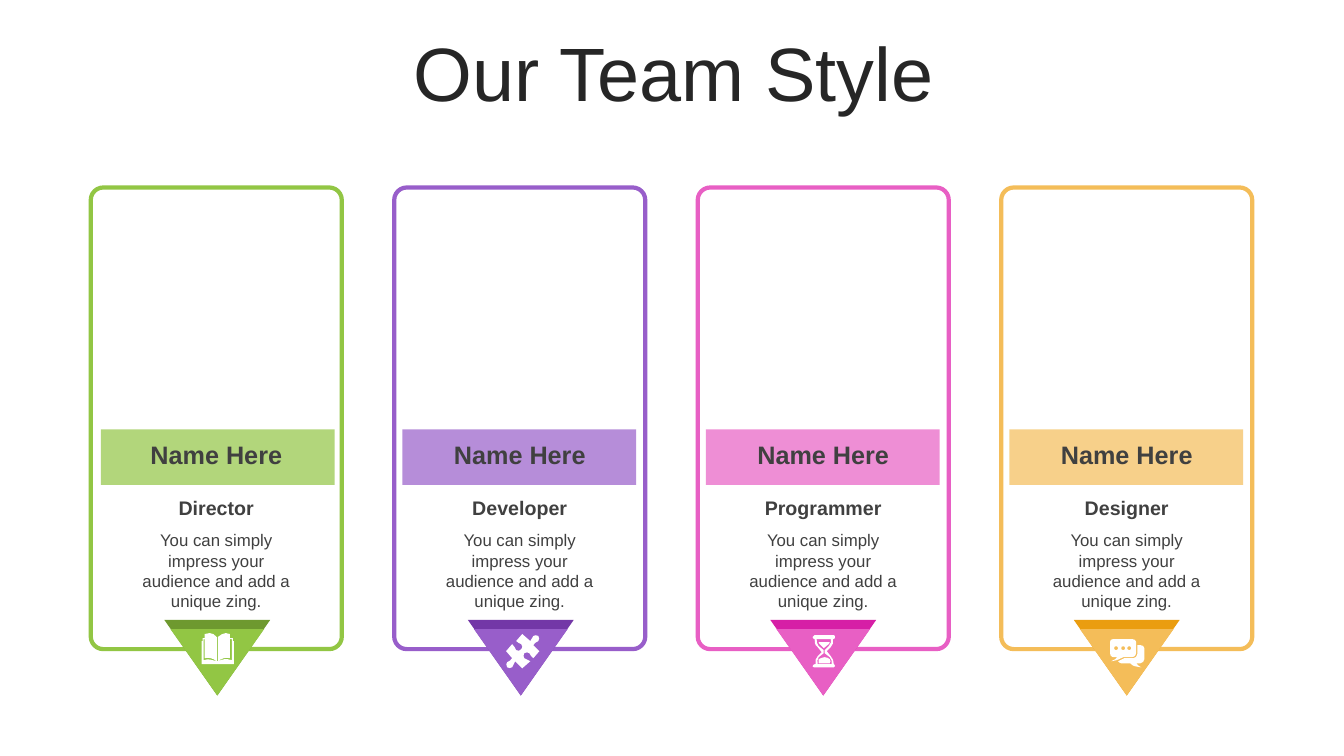
"""Build the "Our Team Style" slide with four team member cards."""
from dataclasses import dataclass

from lxml import etree
from pptx import Presentation
from pptx.dml.color import RGBColor
from pptx.enum.shapes import MSO_SHAPE
from pptx.enum.text import MSO_ANCHOR, PP_ALIGN
from pptx.oxml.ns import qn
from pptx.util import Emu, Pt

PX = 9144
FONT = "Arial"
DARK, GREY, WHITE = "262626", "404040", "FFFFFF"
RECT = MSO_SHAPE.RECTANGLE
ROUNDED = MSO_SHAPE.ROUNDED_RECTANGLE
TRIANGLE = MSO_SHAPE.ISOSCELES_TRIANGLE
MIDDLE, TOP = MSO_ANCHOR.MIDDLE, MSO_ANCHOR.TOP
CENTER = PP_ALIGN.CENTER

CARD_LEFT, CARD_PITCH = 90, 301
BLURB = "You can simply impress your audience and add a unique zing."

BOOK = (
    "M 15 28 C 15 28 16 28 16 28 L 16 28 C 21 26 24 25 30 27 L 30 6 L 28 6 "
    "C 28 12 28 19 28 25 C 24 24 20 25 16 28 L 16 6 L 16 5 L 16 4 "
    "C 19 2 21 0 24 0 C 25 0 26 1 28 1 C 28 2 28 4 28 5 "
    "L 31 5 L 31 8 L 32 8 L 32 31 L 0 31 L 0 8 L 1 8 L 1 5 L 3 5 C 3 4 3 2 3 1 "
    "C 5 1 7 0 8 0 C 11 0 13 2 15 4 L 15 5 L 15 6 L 15 28 "
    "C 11 25 7 24 3 25 L 3 6 L 2 6 L 2 27 C 7 25 10 27 15 28"
)
PUZZLE = (
    "M 33 3 C 34 4 34 7 33 8 C 31 10 29 9 28 12 L 34 18 L 28 25 "
    "C 25 23 26 22 24 20 C 23 19 21 19 19 20 C 18 21 18 24 19 25 "
    "C 22 27 22 26 25 28 L 17 35 L 10 28 C 8 31 9 31 7 34 C 6 35 3 35 2 34 "
    "C 1 32 1 30 2 29 C 4 27 6 28 7 25 L 1 18 L 7 11 C 10 13 9 15 11 17 "
    "C 13 18 15 18 16 16 C 17 15 18 13 16 11 C 14 9 13 11 11 8 L 17 1 "
    "L 25 8 C 27 6 26 6 28 3 C 29 2 32 2 33 3"
)
HOURGLASS = (
    "M 16 24 C 18 24 20 25 21 26 C 22 27 22 29 21 30 L 10 30 "
    "C 10 29 10 27 10 26 C 12 25 14 24 16 24 "
    "M 10 9 L 21 9 C 21 10 20 11 20 11 L 15 15 L 11 11 C 11 11 10 10 10 9 "
    "M 8 6 C 8 8 8 11 10 13 L 15 17 L 15 20 L 10 24 C 9 26 8 28 9 31 L 23 31 "
    "C 23 28 23 26 21 24 L 16 20 L 16 17 L 20 13 C 22 11 23 8 22 6 "
    "M 6 2 L 25 2 C 26 2 26 3 26 4 C 26 5 26 6 25 6 L 24 6 "
    "C 25 9 24 12 22 14 L 18 18 L 22 23 C 24 25 25 28 25 31 "
    "C 26 31 26 32 26 33 C 26 34 26 34 25 34 L 6 34 C 5 34 4 34 4 33 "
    "C 4 32 5 31 6 31 L 7 31 C 6 28 7 25 9 23 L 13 19 L 9 14 "
    "C 6 12 6 9 6 6 C 5 6 4 5 4 4 C 4 3 5 2 6 2"
)
DOTS = " ".join(
    f"M {x} 13 C {x - 1} 13 {x - 2} 14 {x - 2} 15 C {x - 2} 16 {x - 1} 17 {x} 17 "
    f"C {x + 1} 17 {x + 2} 16 {x + 2} 15 C {x + 2} 14 {x + 1} 13 {x} 13"
    for x in (17, 11, 4)
)
BUBBLES = (
    f"{DOTS} M 25 12 L 28 12 C 30 12 32 13 32 15 L 32 26 C 32 28 30 30 28 30 "
    "L 24 30 C 25 31 25 32 29 34 C 22 33 21 33 18 30 L 9 30 C 8 30 7 29 6 28 "
    "C 8 27 10 26 12 25 L 21 25 C 23 25 25 23 25 21 L 25 12 "
    "M 1 6 L 20 6 C 22 6 24 7 24 9 L 24 20 C 24 22 22 24 20 24 L 11 24 "
    "C 7 26 6 27 -1 28 C 3 26 4 26 5 24 L 1 24 C -1 24 -2 22 -2 20 L -2 9 "
    "C -2 7 -1 6 1 6"
)


@dataclass(frozen=True)
class Box:
    """A rectangle in px."""
    x: int
    y: int
    w: int
    h: int

    def emu(self) -> tuple[Emu, ...]:
        """Return the rectangle in EMU."""
        return tuple(Emu(n * PX) for n in (self.x, self.y, self.w, self.h))


@dataclass(frozen=True)
class Member:
    """One team member card."""
    role: str
    color: str
    shade: str
    bar_inset: int
    pointer_inset: int
    icon: str


MEMBERS = (
    Member("Director", "92C644", "6E992F", 10, 73, BOOK),
    Member("Developer", "985ECA", "7337A7", 8, 73, PUZZLE),
    Member("Programmer", "E85FC4", "D61FA6", 8, 72, HOURGLASS),
    Member("Designer", "F4BD59", "EA9D10", 8, 72, BUBBLES),
)


def rgb(value: str) -> RGBColor:
    """Turn a hex string into a colour."""
    return RGBColor.from_string(value)


def paint(sp, fill: str) -> None:
    """Give a shape a plain fill without line or shadow."""
    sp.shadow.inherit = False
    sp.fill.solid()
    sp.fill.fore_color.rgb = rgb(fill)
    sp.line.fill.background()


def add_box(s, kind: MSO_SHAPE, box: Box, fill: str):
    """Add a filled preset shape."""
    sp = s.shapes.add_shape(kind, *box.emu())
    paint(sp, fill)
    return sp


def add_text(s, box: Box, text: str, size: int, color: str = GREY,
             bold: bool = False, anchor: MSO_ANCHOR = MIDDLE):
    """Add a centred text box and return its paragraph."""
    tf = s.shapes.add_textbox(*box.emu()).text_frame
    tf.word_wrap = True
    tf.vertical_anchor = anchor
    p = tf.paragraphs[0]
    p.alignment = CENTER
    r = p.add_run()
    r.text = text
    r.font.name = FONT
    r.font.size = Pt(size)
    r.font.bold = bold
    r.font.color.rgb = rgb(color)
    return p


def outline(contour: str) -> list[list[tuple[int, int]]]:
    """Split a contour into its start and segments, each a list of points."""
    segments = []
    for part in contour.replace("L", "|").replace("C", "|").split("|"):
        n = [int(v) for v in part.split()]
        segments.append(list(zip(n[::2], n[1::2])))
    return segments


def add_icon(s, x: int, y: int, icon: str) -> None:
    """Add a white icon outline with cubic curves."""
    contours = [outline(part) for part in icon.split("M") if part.strip()]
    builder = s.shapes.build_freeform(*contours[0][0][0], scale=float(PX))
    for i, (start, *segments) in enumerate(contours):
        if i:
            builder.move_to(*start[0])
        builder.add_line_segments([points[-1] for points in segments], close=True)
    sp = builder.convert_to_shape(Emu(x * PX), Emu(y * PX))
    paint(sp, WHITE)
    ends = [points[-1] for contour in contours for points in contour]
    left, top = min(px for px, _ in ends), min(py for _, py in ends)
    segments = [points for contour in contours for points in contour[1:]]
    for line, points in zip(list(sp._element.iter(qn("a:lnTo"))), segments):
        if len(points) == 3:
            curve = etree.Element(qn("a:cubicBezTo"))
            for px, py in points:
                etree.SubElement(curve, qn("a:pt"), x=str(px - left), y=str(py - top))
            line.getparent().replace(line, curve)


def add_member(s, x: int, member: Member) -> None:
    """Add one card with its pointer, icon and texts."""
    card = add_box(s, ROUNDED, Box(x, 186, 249, 458), WHITE)
    card.adjustments[0] = 0.05
    card.line.color.rgb = rgb(member.color)
    card.line.width = Pt(3)
    tip = x + member.pointer_inset
    for box, fill in ((Box(tip, 615, 105, 75), member.shade),
                      (Box(tip + 6, 624, 93, 66), member.color)):
        add_box(s, TRIANGLE, box, fill).rotation = 180
    add_icon(s, x + 110, 628, member.icon)
    bar = add_box(s, RECT, Box(x + member.bar_inset, 426, 232, 55), member.color)
    tint = next(bar.fill._xPr.iter(qn("a:srgbClr")))
    etree.SubElement(tint, qn("a:alpha")).set("val", "70000")
    add_text(s, Box(x + 34, 486, 181, 35), member.role, 14, bold=True)
    add_text(s, Box(x + 34, 521, 181, 91), BLURB, 12, anchor=TOP)
    add_text(s, Box(x + 34, 437, 181, 27), "Name Here", 18, bold=True)


def main() -> None:
    """Build and save the slide."""
    prs = Presentation()
    prs.slide_width, prs.slide_height = Emu(1333 * PX), Emu(750 * PX)
    s = prs.slides.add_slide(prs.slide_layouts[6])
    title = add_text(s, Box(35, 37, 1266, 79), "Our Team Style", 54, DARK)
    title.line_spacing = 0.9
    for i, member in enumerate(MEMBERS):
        add_member(s, CARD_LEFT + i * CARD_PITCH, member)
    prs.save("out.pptx")


if __name__ == "__main__":
    main()
